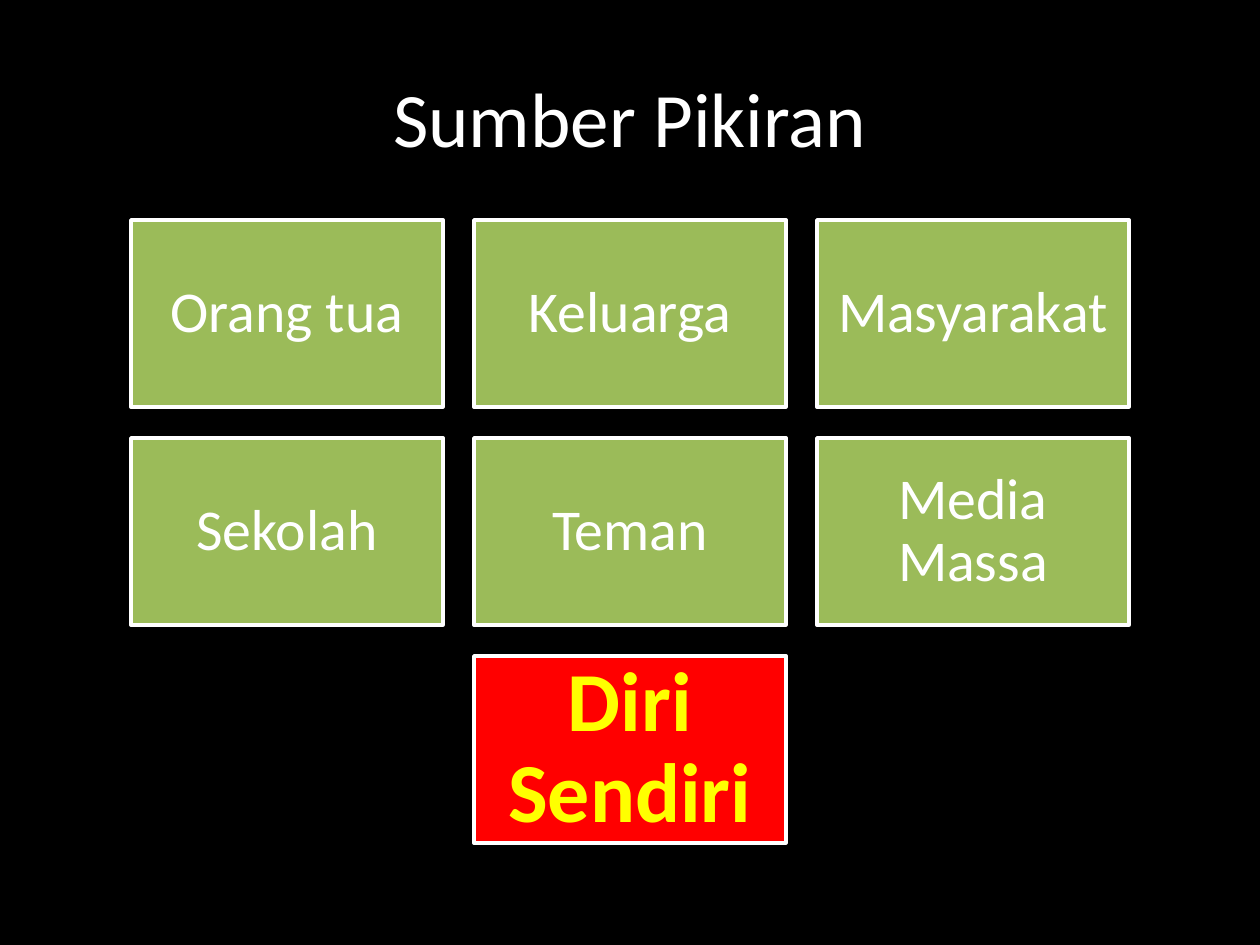
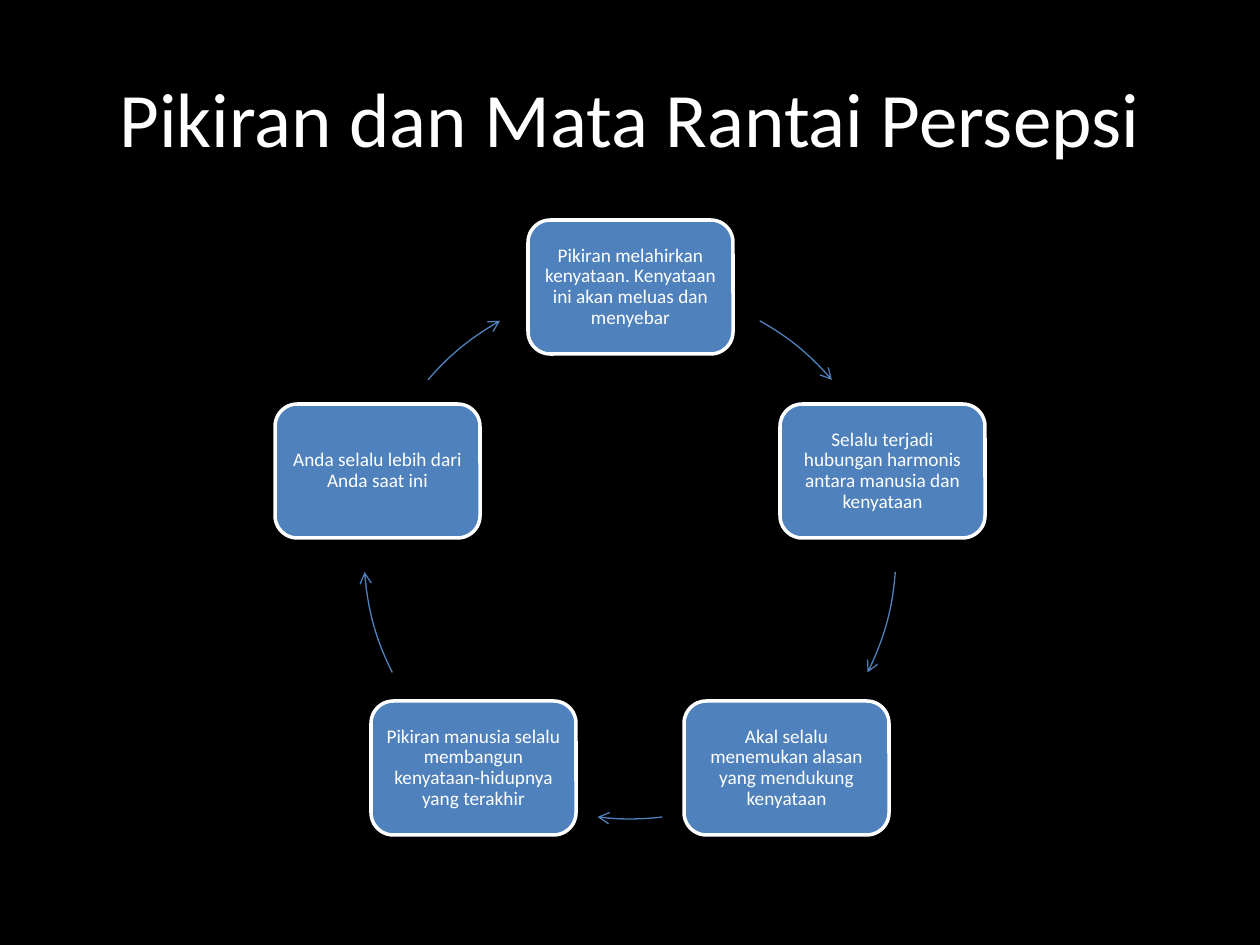
from dataclasses import dataclass
from math import cos, radians, sin

from lxml import etree
from pptx import Presentation
from pptx.dml.color import RGBColor
from pptx.enum.shapes import MSO_SHAPE
from pptx.enum.text import MSO_ANCHOR, PP_ALIGN
from pptx.oxml.ns import qn
from pptx.presentation import Presentation as Deck
from pptx.shapes.autoshape import Shape
from pptx.slide import Slide
from pptx.text.text import TextFrame
from pptx.util import Emu, Pt

RECT = MSO_SHAPE.RECTANGLE
ROUND = MSO_SHAPE.ROUNDED_RECTANGLE
ARC = MSO_SHAPE.ARC
MIDDLE = MSO_ANCHOR.MIDDLE
CENTER = PP_ALIGN.CENTER

SCALE = 914400 / 126
WIDE, HIGH = 1260, 945
TITLE_ONLY = 5


@dataclass(frozen=True)
class Theme:
    font: str = "Calibri"
    back: str = "000000"
    white: str = "FFFFFF"
    green: str = "9BBB59"
    red: str = "FF0000"
    yellow: str = "FFFF00"
    blue: str = "4F81BD"
    title: int = 44
    tile: int = 33
    self_tile: int = 48
    node: int = 11
    edge: float = 2
    arrow: float = 0.75


@dataclass(frozen=True)
class Box:
    left: int
    top: int
    width: int
    height: int


@dataclass(frozen=True)
class Card:
    text: str
    box: Box
    fill: str
    size: int
    inset: int
    kind: MSO_SHAPE = RECT
    color: str = "FFFFFF"
    bold: bool = False


@dataclass(frozen=True)
class Sweep:
    start: float
    end: float


THEME = Theme()
TITLE_BOX = Box(63, 38, 1134, 157)

SOURCES = ["Orang tua", "Keluarga", "Masyarakat", "Sekolah", "Teman", "Media Massa"]
TILE = Box(131, 220, 312, 187)
STEP_X, STEP_Y = 343, 218

BELIEFS = [
    "Pikiran melahirkan kenyataan. Kenyataan ini akan meluas dan menyebar",
    "Selalu terjadi hubungan harmonis antara manusia dan kenyataan",
    "Akal selalu menemukan alasan yang mendukung kenyataan",
    "Pikiran manusia selalu membangun kenyataan-hidupnya yang terakhir",
    "Anda selalu lebih dari Anda saat ini",
]
RING = Box(364, 287, 532, 532)
NODE_W, NODE_H = 205, 134
SWEEPS = [
    Sweep(299.2, 319.4),
    Sweep(4.1, 26.7),
    Sweep(83, 97),
    Sweep(153.3, 175.9),
    Sweep(220.6, 240.8),
]


def px(value: float) -> Emu:
    return Emu(round(value * SCALE))


def place(box: Box) -> tuple[Emu, Emu, Emu, Emu]:
    return px(box.left), px(box.top), px(box.width), px(box.height)


def write(frame: TextFrame, text: str, *, size: int, color: str = THEME.white,
          bold: bool = False, space: float = 1.0) -> None:
    frame.word_wrap = True
    frame.vertical_anchor = MIDDLE
    para = frame.paragraphs[0]
    para.alignment = CENTER
    para.line_spacing = space
    run = para.add_run()
    run.text = text
    run.font.name = THEME.font
    run.font.size = Pt(size)
    run.font.bold = bold
    run.font.color.rgb = RGBColor.from_string(color)


def add_shape(slide: Slide, kind: MSO_SHAPE, box: Box, line: str, width: float) -> Shape:
    shape = slide.shapes.add_shape(kind, *place(box))
    shape.shadow.inherit = False
    shape.line.color.rgb = RGBColor.from_string(line)
    shape.line.width = Pt(width)
    return shape


def add_card(slide: Slide, card: Card) -> None:
    shape = add_shape(slide, card.kind, card.box, THEME.white, THEME.edge)
    shape.fill.solid()
    shape.fill.fore_color.rgb = RGBColor.from_string(card.fill)
    frame = shape.text_frame
    frame.margin_left = frame.margin_right = px(card.inset)
    frame.margin_top = frame.margin_bottom = px(card.inset)
    write(frame, card.text, size=card.size, color=card.color, bold=card.bold, space=0.9)


def add_sweep(slide: Slide, sweep: Sweep) -> None:
    shape = add_shape(slide, ARC, RING, THEME.blue, THEME.arrow)
    shape.fill.background()
    shape.adjustments[0] = sweep.start * 0.6
    shape.adjustments[1] = sweep.end * 0.6
    line = shape.line._get_or_add_ln()
    etree.SubElement(line, qn("a:tailEnd"), type="arrow")


def add_slide(deck: Deck, title: str) -> Slide:
    slide = deck.slides.add_slide(deck.slide_layouts[TITLE_ONLY])
    head = slide.shapes.title
    head.left, head.top, head.width, head.height = place(TITLE_BOX)
    write(head.text_frame, title, size=THEME.title)
    return slide


def tile_box(row: int, col: int) -> Box:
    return Box(TILE.left + col * STEP_X, TILE.top + row * STEP_Y, TILE.width, TILE.height)


def node_box(index: int) -> Box:
    angle = radians(360 / len(BELIEFS) * index - 90)
    radius = RING.width / 2
    mid_x = RING.left + radius * (1 + cos(angle))
    mid_y = RING.top + radius * (1 + sin(angle))
    return Box(round(mid_x - NODE_W / 2), round(mid_y - NODE_H / 2), NODE_W, NODE_H)


def draw_sources(deck: Deck) -> None:
    slide = add_slide(deck, "Sumber Pikiran")
    for index, text in enumerate(SOURCES):
        box = tile_box(*divmod(index, 3))
        add_card(slide, Card(text, box, THEME.green, THEME.tile, 18))
    add_card(slide, Card("Diri Sendiri", tile_box(2, 1), THEME.red, THEME.self_tile, 25,
                         color=THEME.yellow, bold=True))


def draw_chain(deck: Deck) -> None:
    slide = add_slide(deck, "Pikiran dan Mata Rantai Persepsi")
    for index, (text, sweep) in enumerate(zip(BELIEFS, SWEEPS)):
        add_card(slide, Card(text, node_box(index), THEME.blue, THEME.node, 6, kind=ROUND))
        add_sweep(slide, sweep)


def main() -> None:
    deck = Presentation()
    deck.slide_width, deck.slide_height = px(WIDE), px(HIGH)
    back = deck.slide_master.background.fill
    back.solid()
    back.fore_color.rgb = RGBColor.from_string(THEME.back)
    draw_sources(deck)
    draw_chain(deck)
    deck.save("out.pptx")


if __name__ == "__main__":
    main()
